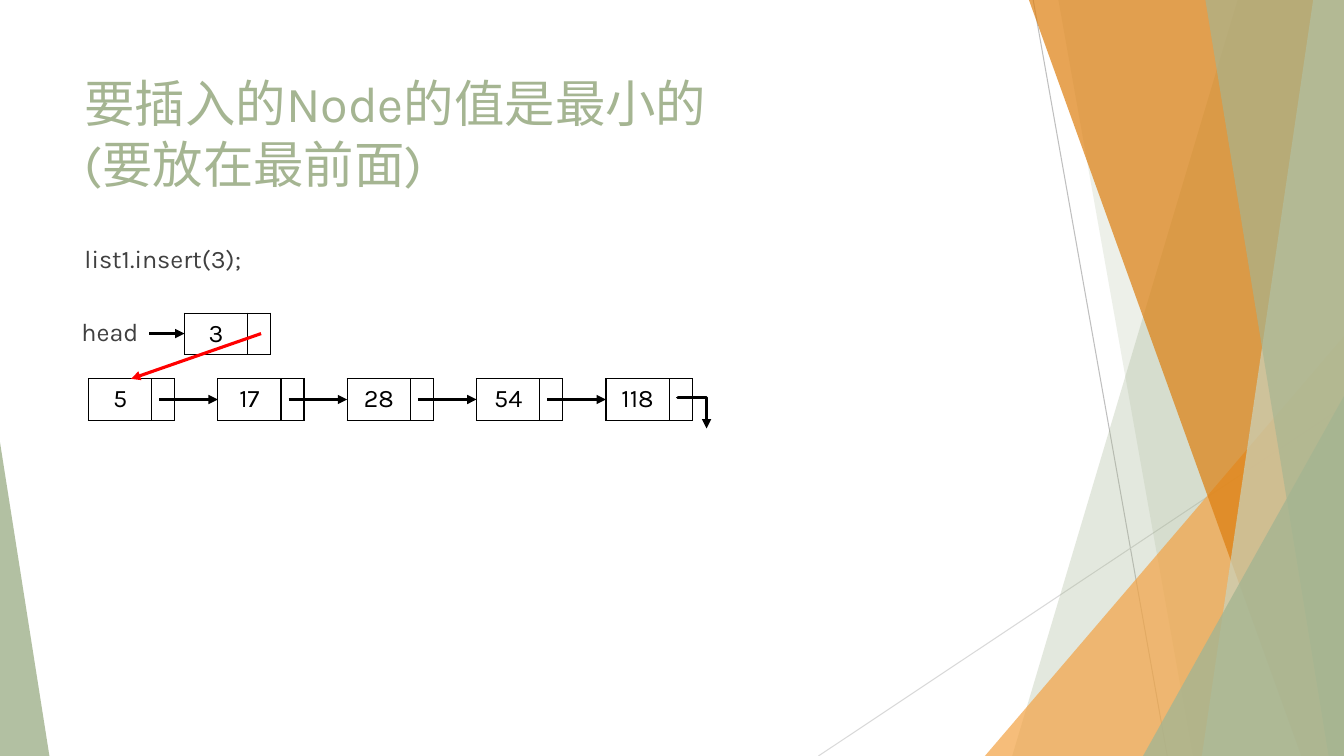
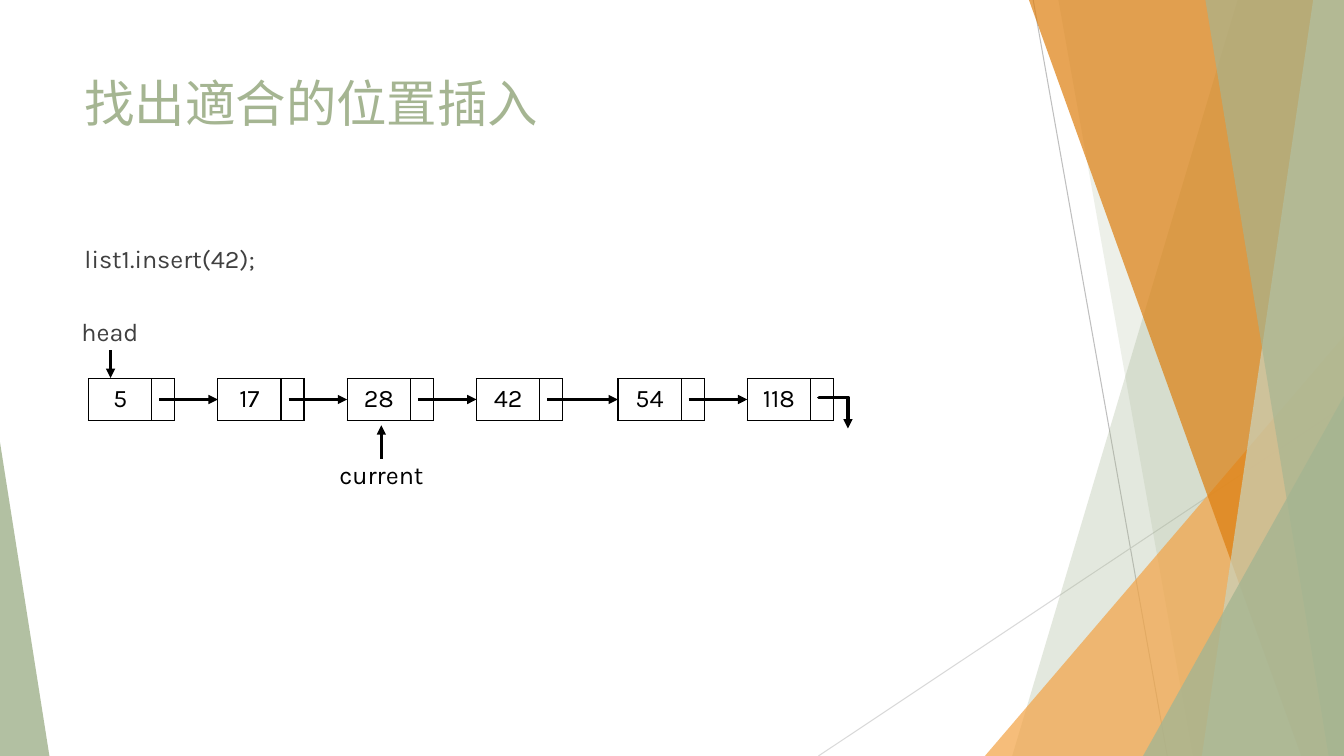
"""Two slides on inserting a node into a sorted linked list."""
from lxml import etree
from pptx import Presentation
from pptx.dml.color import RGBColor
from pptx.enum.shapes import MSO_CONNECTOR, MSO_SHAPE
from pptx.enum.text import MSO_ANCHOR, PP_ALIGN
from pptx.oxml.ns import qn
from pptx.util import Pt

STRAIGHT, ELBOW = MSO_CONNECTOR.STRAIGHT, MSO_CONNECTOR.ELBOW
TRIANGLE = MSO_SHAPE.ISOSCELES_TRIANGLE
MIDDLE = MSO_ANCHOR.MIDDLE
LEFT, CENTER = PP_ALIGN.LEFT, PP_ALIGN.CENTER

SAGE = RGBColor(0xA5, 0xB5, 0x92)
PALE = RGBColor(0xC9, 0xD3, 0xBE)
ORANGE = RGBColor(0xF3, 0xA4, 0x47)
RUST = RGBColor(0xDD, 0x7E, 0x0E)
SILVER = RGBColor(0xBF, 0xBF, 0xBF)
MIST = RGBColor(0xD9, 0xD9, 0xD9)
GRAY = RGBColor(0x40, 0x40, 0x40)
BLACK = RGBColor(0, 0, 0)
RED = RGBColor(0xFF, 0, 0)

FONT = "Karla"
WIDE, HIGH = 960, 540
CELLS = (45.2, 16.4)
ROW = 29.5
FIRST, STEP, TOP = 63.2, 92.4, 270.6
MID = TOP + ROW / 2
PORT = 50.5
SHIFT = 8.6

RAYS = [
    (SILVER, (738, 0), (833.8, HIGH)),
    (MIST, (WIDE, 290), (584.6, HIGH)),
]
BANDS = [
    ("quad", SAGE, 30, (884, 723)),
    ("quad", SAGE, 20, (756, 852)),
    ("peak", ORANGE, 72, (703.5, 240, 256.5, 1)),
    ("quad", RUST, 70, (735, 929.5)),
    ("quad", PALE, 70, (938, 858.5)),
    ("quad", SAGE, 65, (861, 949)),
    ("peak", SAGE, 80, (816.5, 283, 143.5, 1)),
    ("peak", SAGE, 85, (0, 316, 35.3, 0)),
]
SLIDES = [
    {
        "title": "要插入的Node的值是最小的\v(要放在最前面)",
        "code": "list1.insert(3);",
        "chain": [5, 17, 28, 54, 118],
        "late": 5,
        "loose": [(3, 131.8, 223.7)],
        "labels": [],
        "arrows": [
            (BLACK, (106.8, 238.3), (131.8, 238.3)),
            (RED, (186.5, 238.3), (93.6, TOP)),
        ],
    },
    {
        "title": "找出適合的位置插入",
        "code": "list1.insert(42);",
        "chain": [5, 17, 28, 42, 54, 118],
        "late": 4,
        "loose": [],
        "labels": [("current", (226.8, 324.7, 91.4, 31))],
        "arrows": [
            (BLACK, (79, 250.3), (79, 270)),
            (BLACK, (272.4, 327.6), (272.4, 303.8)),
        ],
    },
]


def set_font(para, size, color):
    para.font.name = FONT
    para.font.size = Pt(size)
    para.font.color.rgb = color


def add_text(slide, text, box, size, color, align=LEFT):
    frame = slide.shapes.add_textbox(*map(Pt, box)).text_frame
    frame.word_wrap = True
    frame.text = text
    para = frame.paragraphs[0]
    para.alignment = align
    set_font(para, size, color)


def add_line(slide, color, start, end, width=2.25, head=True, kind=STRAIGHT):
    line = slide.shapes.add_connector(kind, *map(Pt, start + end))
    line.line.color.rgb = color
    line.line.width = Pt(width)
    props = line.element.spPr
    if head:
        etree.SubElement(props.find(qn("a:ln")), qn("a:tailEnd"), type="triangle")
    etree.SubElement(props, qn("a:effectLst"))
    return line


def add_hook(slide, left):
    x, y, long, wide = left + 61.5, 294.9, 11.2, 10.4
    line = add_line(slide, BLACK, (x + long, y - wide), (x - long, y + wide),
                    kind=ELBOW)
    props = line.element.spPr
    props.find(qn("a:xfrm")).set("rot", "16200000")
    guides = props.find(qn("a:prstGeom")).find(qn("a:avLst"))
    etree.SubElement(guides, qn("a:gd"), name="adj1", fmla="val 300")


def add_band(slide, kind, color, alpha, place):
    if kind == "quad":
        top, foot = place
        form = slide.shapes.build_freeform(Pt(top), 0)
        corners = [(WIDE, 0), (WIDE, HIGH), (foot, HIGH)]
        form.add_line_segments([(Pt(x), Pt(y)) for x, y in corners])
        shape = form.convert_to_shape()
    else:
        left, top, width, apex = place
        shape = slide.shapes.add_shape(
            TRIANGLE, Pt(left), Pt(top), Pt(width), Pt(HIGH - top))
        shape.adjustments[0] = apex
    shape.shadow.inherit = False
    shape.line.fill.background()
    shape.fill.solid()
    shape.fill.fore_color.rgb = color
    tint = shape.element.spPr.find(qn("a:solidFill"))[0]
    etree.SubElement(tint, qn("a:alpha"), val=str(alpha * 1000))


def add_edges(cell):
    props = cell._tc.get_or_add_tcPr()
    for spot, side in enumerate(("lnL", "lnR", "lnT", "lnB")):
        edge = etree.Element(qn("a:" + side), w=str(Pt(1)))
        fill = etree.SubElement(edge, qn("a:solidFill"))
        etree.SubElement(fill, qn("a:srgbClr"), val=str(BLACK))
        props.insert(spot, edge)


def add_node(slide, value, left, top):
    table = slide.shapes.add_table(
        1, 2, Pt(left), Pt(top), Pt(sum(CELLS)), Pt(ROW)).table
    table.first_row = table.horz_banding = False
    table.rows[0].height = Pt(ROW)
    for col, (width, text) in enumerate(zip(CELLS, (str(value), ""))):
        table.columns[col].width = Pt(width)
        cell = table.cell(0, col)
        cell.text = text
        cell.vertical_anchor = MIDDLE
        cell.margin_left = cell.margin_right = Pt(3)
        cell.margin_top = cell.margin_bottom = Pt(2)
        cell.fill.background()
        add_edges(cell)
        para = cell.text_frame.paragraphs[0]
        para.alignment = CENTER
        set_font(para, 18, BLACK)


def add_frame(slide, title, code):
    for color, start, end in RAYS:
        add_line(slide, color, start, end, 0.75, False)
    for band in BANDS:
        add_band(slide, *band)
    add_text(slide, code, (53.3, 170.2, 172.8, 33), 18, GRAY)
    add_text(slide, "head", (50.4, 222.6, 56.2, 31), 18, GRAY, CENTER)
    add_text(slide, title, (53.3, 48.2, 676.8, 103.7), 36, SAGE)


def add_chain(slide, values, late):
    lefts = [FIRST + i * STEP + (SHIFT if i >= late else 0)
             for i in range(len(values))]
    for value, left in zip(values, lefts):
        add_node(slide, value, left, TOP)
    for left, after in zip(lefts, lefts[1:]):
        add_line(slide, BLACK, (left + PORT, MID), (after, MID))
    add_hook(slide, lefts[-1])


def main():
    deck = Presentation()
    deck.slide_width, deck.slide_height = Pt(WIDE), Pt(HIGH)
    for page in SLIDES:
        slide = deck.slides.add_slide(deck.slide_layouts[6])
        add_frame(slide, page["title"], page["code"])
        add_chain(slide, page["chain"], page["late"])
        for node in page["loose"]:
            add_node(slide, *node)
        for text, box in page["labels"]:
            add_text(slide, text, box, 18, BLACK, CENTER)
        for arrow in page["arrows"]:
            add_line(slide, *arrow)
    deck.save("out.pptx")


if __name__ == "__main__":
    main()
